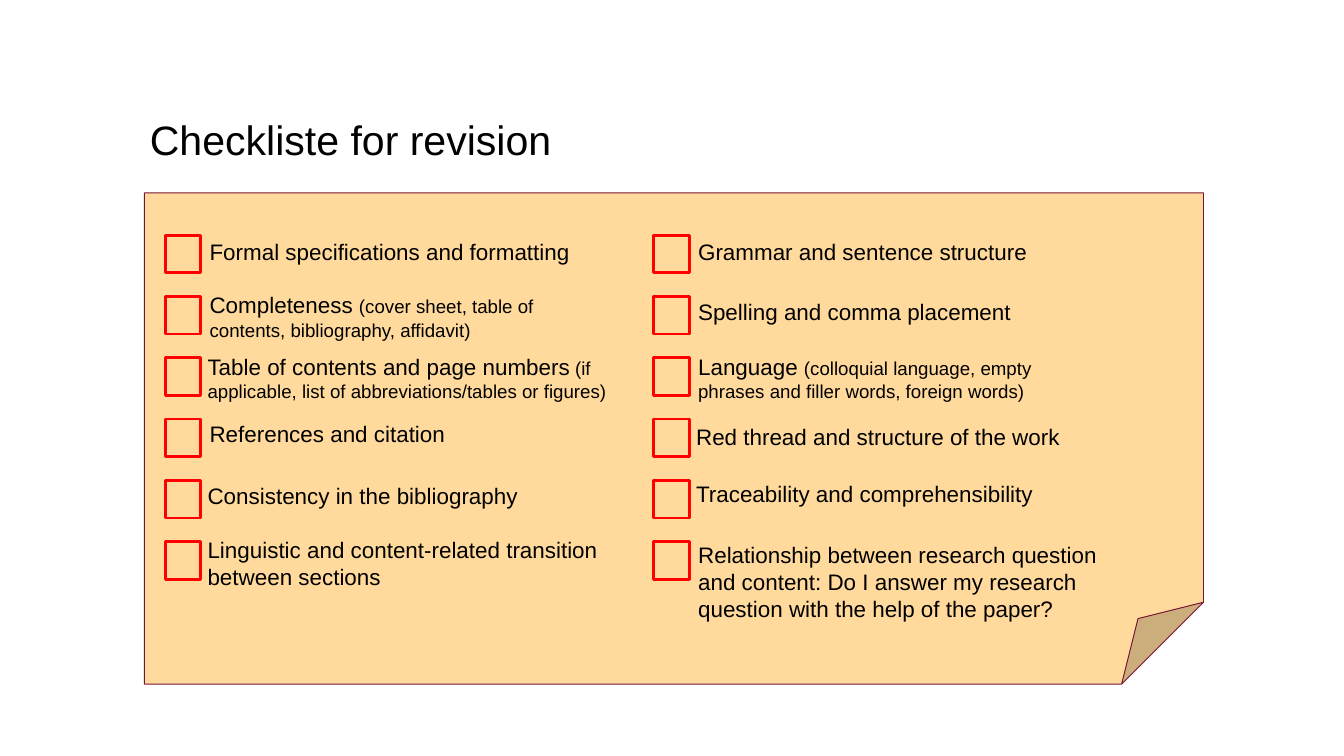
import pptx
import pptx.util
import pptx.dml.color
import pptx.enum.shapes
import pptx.enum.text
from dataclasses import dataclass

# Content: (left nudge, top, width, lines, main words, small words), in px
TITLE = "Checkliste for revision"
LEFT = [
    (3, 350, 605, 1, "Formal specifications and formatting", ""),
    (3, 429, 605, 2, "Completeness ",
     "(cover sheet, table of contents, bibliography, affidavit)"),
    (0, 520, 653, 2, "Table of contents and page numbers",
     " (if applicable, list of abbreviations/tables or figures)"),
    (3, 621, 605, 1, "References and citation", ""),
    (0, 712, 605, 1, "Consistency in the bibliography", ""),
    (0, 793, 605, 2,
     "Linguistic and content-related transition between sections", ""),
]
RIGHT = [
    (3, 349, 605, 1, "Grammar and sentence structure", ""),
    (3, 439, 605, 1, "Spelling and comma placement", ""),
    (3, 520, 605, 2, "Language ",
     "(colloquial language, empty phrases and filler words, foreign words)"),
    (0, 624, 605, 1, "Red thread and structure of the work", ""),
    (0, 709, 725, 1, "Traceability and comprehensibility", ""),
    (3, 800, 629, 3,
     "Relationship between research question and content: "
     "Do I answer my research question with the help of the paper?", ""),
]
COLUMNS = [(246, LEFT), (973, RIGHT)]

# Layout, 100 px to the inch
SCALE = 9144
SLIDE = (2000, 1125)
HEAD = (213, 142, 1575, 138)
NOTE = (215, 287, 1576, 731)
BOX_TOP, BOX_STEP, BOX_W, BOX_H = 350, 91.2, 53, 56
TEXT_GAP = 53
LINE_H, PAD = 40, 10


@dataclass
class Theme:
    font: str = "Arial"
    head: int = 44
    main: int = 24
    small: int = 20
    ink: str = "000000"
    note: str = "FFDA9C"
    edge: str = "771335"
    tick: str = "FF0000"


theme = Theme()
SHAPE = pptx.enum.shapes.MSO_SHAPE
ALIGN = pptx.enum.text.PP_ALIGN
ANCHOR = pptx.enum.text.MSO_ANCHOR
FIT = pptx.enum.text.MSO_AUTO_SIZE


def px(*sizes):
    return [round(size * SCALE) for size in sizes]


def rgb(code):
    return pptx.dml.color.RGBColor.from_string(code)


def add_run(para, text, size):
    run = para.add_run()
    run.text = text
    run.font.name = theme.font
    run.font.size = pptx.util.Pt(size)
    run.font.color.rgb = rgb(theme.ink)


def add_shape(slide, kind, place, line, width, fill=None):
    shape = slide.shapes.add_shape(kind, *px(*place))
    shape.shadow.inherit = False
    if fill:
        shape.fill.solid()
        shape.fill.fore_color.rgb = rgb(fill)
    else:
        shape.fill.background()
    shape.line.color.rgb = rgb(line)
    shape.line.width = pptx.util.Pt(width)


def add_label(slide, place, main, small):
    frame = slide.shapes.add_textbox(*px(*place)).text_frame
    frame.word_wrap = True
    frame.auto_size = FIT.SHAPE_TO_FIT_TEXT
    para = frame.paragraphs[0]
    add_run(para, main, theme.main)
    if small:
        add_run(para, small, theme.small)


def add_title(slide):
    title = slide.shapes.title
    title.left, title.top, title.width, title.height = px(*HEAD)
    frame = title.text_frame
    frame.word_wrap = True
    frame.auto_size = FIT.NONE
    frame.vertical_anchor = ANCHOR.MIDDLE
    para = frame.paragraphs[0]
    para.alignment = ALIGN.LEFT
    para.line_spacing = 0.9
    add_run(para, TITLE, theme.head)


def main():
    deck = pptx.Presentation()
    deck.slide_width, deck.slide_height = px(*SLIDE)
    slide = deck.slides.add_slide(deck.slide_layouts[5])
    add_title(slide)

    # Paper note behind the list
    add_shape(slide, SHAPE.FOLDED_CORNER, NOTE, theme.edge, 1, theme.note)

    # Tick boxes with their labels
    for left, items in COLUMNS:
        for row, (nudge, top, width, lines, text, small) in enumerate(items):
            box = (left, BOX_TOP + row * BOX_STEP, BOX_W, BOX_H)
            add_shape(slide, SHAPE.RECTANGLE, box, theme.tick, 3)
            place = (left + TEXT_GAP + nudge, top, width, PAD + lines * LINE_H)
            add_label(slide, place, text, small)

    deck.save("out.pptx")


if __name__ == "__main__":
    main()
